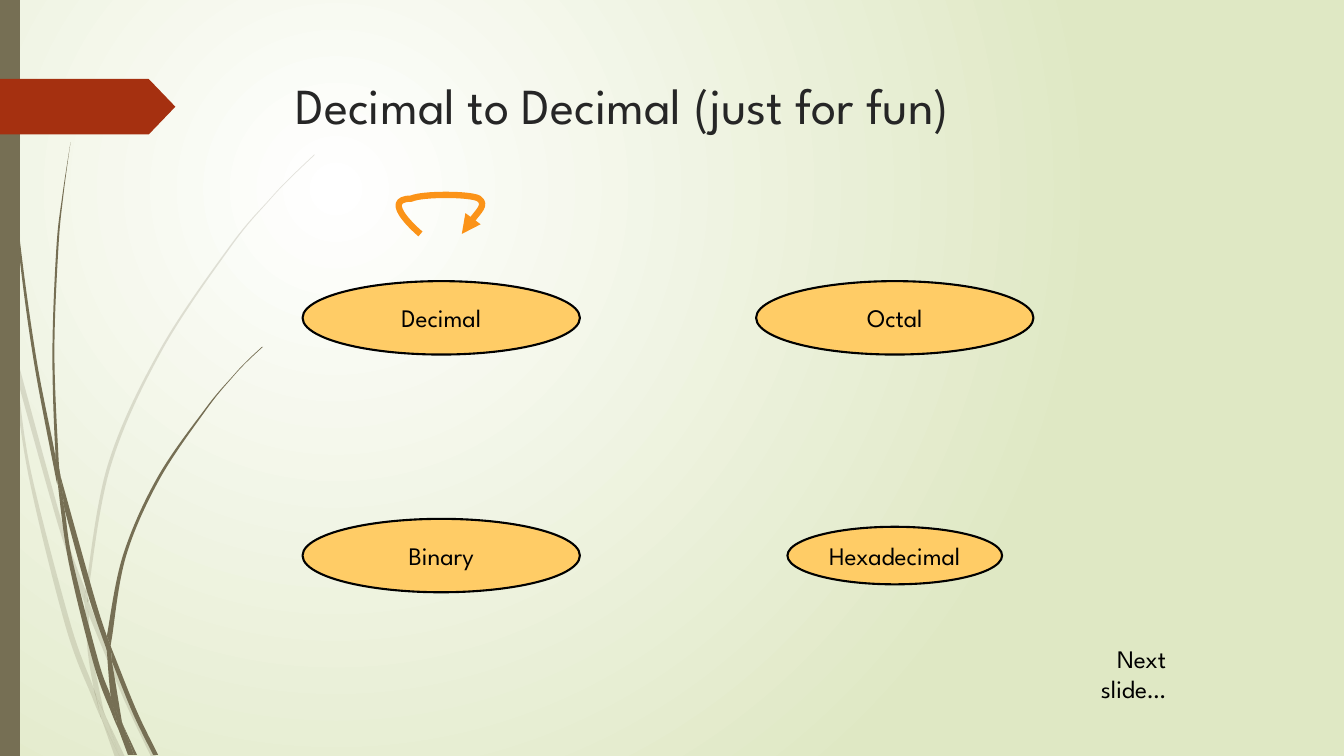
from lxml.etree import SubElement
from pptx import Presentation
from pptx.dml.color import RGBColor as RGB
from pptx.enum.shapes import MSO_SHAPE as SHAPE
from pptx.enum.text import MSO_ANCHOR as ANCHOR, PP_ALIGN as ALIGN
from pptx.oxml.ns import qn
from pptx.util import Cm, Pt

FONT = "League Spartan"
UNIT = 2.54
COLORS = {
    "glow": "FFFFFF", "meadow": "DFE8C4", "grass": "766F54", "tag": "A53010",
    "title": "262626", "text": "000000", "oval": "FFCC66", "loop": "FB9318",
}
PALE_BLADES = [
    ([(0, 2.82), (0.09, 3.22), (0.11, 3.5)], [(0.1, 3.44), (0, 2.99)]),
    ([(0.14, 3.45), (0.62, 5.2), (0.85, 5.86)],
     [(0.84, 5.99), (0.58, 5.22), (0.17, 3.76)]),
    ([(0.88, 5.96), (0.92, 6.07), (1.27, 6.92), (1.55, 7.51)],
     [(1.5, 7.51), (1.23, 6.94), (0.88, 6.1)]),
    ([(1.05, 7.11), (1.24, 7.51)], [(1.19, 7.51)]),
    ([(0.11, 3.5), (0.17, 3.76), (0.31, 4.69), (0.7, 6.19), (0.93, 6.83), (0.99, 7.07)],
     [(1.01, 7.14), (0.92, 6.93), (0.65, 6.21), (0.28, 4.7), (0.11, 3.5)]),
    ([(0.84, 5.99), (0.87, 6.46), (0.93, 6.83), (0.96, 6.92), (1.05, 7.11)],
     [(1.03, 7.06), (0.91, 6.46), (0.88, 6.1), (0.88, 6.08)]),
    ([(0.88, 5.96), (0.88, 5.84), (1.1, 4.62), (1.6, 3.49), (2.29, 2.45), (2.68, 1.98),
      (2.9, 1.75), (3.12, 1.54)],
     [(3.12, 1.53), (2.89, 1.75), (2.68, 1.97), (2.28, 2.44), (1.58, 3.48), (1.07, 4.61),
      (0.85, 5.84), (0.85, 5.86)]),
    ([(1.01, 7.14), (1.14, 7.51)], [(1.19, 7.51), (1.01, 7.14)]),
    ([(0.88, 6.08), (0.88, 6.1), (0.88, 5.96)], [(0.85, 5.86), (0.84, 5.99)]),
    ([(0.93, 6.83), (0.99, 7.07), (1.01, 7.14), (1.19, 7.51)],
     [(1.19, 7.51), (1.05, 7.11), (0.96, 6.92)]),
]
DARK_BLADES = [
    ([(0.04, 0), (0.05, 0.48), (0.08, 1.09), (0.19, 2.32), (0.36, 3.55), (0.55, 4.53),
      (0.57, 4.81)],
     [(0.56, 4.77), (0.33, 3.55), (0.17, 2.33), (0.07, 1.1), (0.04, 0.48), (0.03, 0)]),
    ([(0.6, 4.72), (0.93, 5.9), (1.06, 6.31)],
     [(1.06, 6.45), (0.88, 5.92), (0.64, 5.05)]),
    ([(1.1, 6.41), (1.13, 6.49), (1.36, 7.06), (1.57, 7.49)],
     [(1.52, 7.49), (1.32, 7.08), (1.11, 6.56)]),
    ([(0.57, 4.77), (0.64, 5.05), (0.72, 5.56), (0.98, 6.57), (1.1, 6.91), (1.16, 7.17)],
     [(1.17, 7.22), (1.11, 7.08), (0.93, 6.59), (0.68, 5.57), (0.57, 4.77)]),
    ([(0.6, 4.72), (0.58, 4.53), (0.54, 3.49), (0.58, 2.45), (0.63, 1.93), (0.7, 1.41)],
     [(0.7, 1.41), (0.62, 1.93), (0.56, 2.45), (0.52, 3.49), (0.55, 4.49), (0.6, 4.72)]),
    ([(1.22, 7.19), (1.36, 7.49)], [(1.33, 7.49)]),
    ([(0.55, 4.49), (0.6, 4.72), (0.64, 5.05)], [(0.57, 4.77), (0.55, 4.53)]),
    ([(1.1, 6.41), (1.11, 6.33), (1.25, 5.52), (1.58, 4.76), (2.05, 4.06), (2.31, 3.74),
      (2.45, 3.59), (2.61, 3.44)],
     [(2.6, 3.44), (2.45, 3.58), (2.31, 3.73), (2.04, 4.05), (1.56, 4.74), (1.22, 5.51),
      (1.06, 6.31)]),
    ([(1.17, 7.22), (1.27, 7.49)], [(1.31, 7.49), (1.17, 7.22)]),
    ([(1.06, 6.45), (1.1, 6.91), (1.16, 7.06), (1.22, 7.19)],
     [(1.21, 7.16), (1.11, 6.56), (1.09, 6.51)]),
    ([(1.06, 6.31), (1.06, 6.45), (1.11, 6.56)], [(1.1, 6.41)]),
    ([(1.1, 6.91), (1.16, 7.17), (1.17, 7.22), (1.3, 7.49)],
     [(1.33, 7.49), (1.22, 7.19), (1.16, 7.06)]),
]
LOOP = [(0.42, 0.4), (0.42, 0.4), (0, 0.05), (0.33, 0.05), (0.43, 0), (0.92, 0),
        (1, 0.05), (1.08, 0.11), (0.87, 0.33), (0.83, 0.4)]


def color(name):
    """Return the named colour."""
    return RGB.from_string(COLORS[name])


def smooth(knots):
    """Return the Bezier points of a smooth curve through the knots."""
    ends = [knots[0], *knots, knots[-1]]
    points = [knots[0]]
    for a, b, c, d in zip(ends, ends[1:], ends[2:], ends[3:]):
        points.append(tuple(q + (r - p) / 6 for p, q, r in zip(a, b, c)))
        points.append(tuple(r - (n - q) / 6 for q, r, n in zip(b, c, d)))
        points.append(c)
    return points


def curve(s, x, y, points, close):
    """Draw a freeform of Bezier curves placed from x, y."""
    pts = [(Cm(x + px * UNIT), Cm(y + py * UNIT)) for px, py in points]
    fb = s.shapes.build_freeform(*pts[0])
    fb.add_line_segments(pts[1:], close=close)
    sp = fb.convert_to_shape()
    sp.shadow.inherit = False
    outline = sp._element.find(".//" + qn("a:path"))
    legs = outline.findall(qn("a:lnTo"))
    for first, second, third in zip(legs[::3], legs[1::3], legs[2::3]):
        first.tag = qn("a:cubicBezTo")
        for leg in (second, third):
            first.append(leg[0])
            outline.remove(leg)
    return sp


def paint(sp, fill):
    """Give a shape a plain fill and no line."""
    sp.shadow.inherit = False
    sp.fill.solid()
    sp.fill.fore_color.rgb = color(fill)
    sp.line.fill.background()


def write(tf, text, size, ink, align):
    """Write one formatted paragraph."""
    tf.text = text
    p = tf.paragraphs[0]
    p.alignment = align
    p.font.size = Pt(size)
    p.font.name = FONT
    p.font.color.rgb = color(ink)


def background(s):
    """Fill the background with a round gradient."""
    fill = s.background.fill
    fill.gradient()
    for stop, name in zip(fill.gradient_stops, ("glow", "meadow")):
        stop.color.rgb = color(name)
    grad = s._element.find(".//" + qn("a:gradFill"))
    grad.remove(grad.find(qn("a:lin")))
    circle = SubElement(grad, qn("a:path"), path="circle")
    SubElement(circle, qn("a:fillToRect"),
               l="50000", t="50000", r="100000", b="100000")


def decoration(s, x, y, h):
    """Draw the grass, the side bar and the tag at the left edge."""
    for blades, alpha in ((PALE_BLADES, 20), (DARK_BLADES, 100)):
        for near, far in blades:
            sp = curve(s, x, y, smooth(near) + [near[-1], far[0]] + smooth(far), True)
            paint(sp, "grass")
            rgb = sp._element.spPr.find(".//" + qn("a:srgbClr"))
            SubElement(rgb, qn("a:alpha"), val=str(alpha * 1000))
    bar = s.shapes.add_shape(SHAPE.RECTANGLE, Cm(x), Cm(y), Cm(0.5), Cm(h))
    paint(bar, "grass")
    tag = s.shapes.add_shape(SHAPE.PENTAGON, Cm(x), Cm(y + 1.99), Cm(4.42), Cm(1.4))
    tag.adjustments[0] = 0.48
    paint(tag, "tag")


def title(s, x, y, w, h):
    """Place the slide title."""
    sp = s.shapes.title
    sp.left, sp.top, sp.width, sp.height = Cm(x), Cm(y), Cm(w), Cm(h)
    tf = sp.text_frame
    tf.vertical_anchor = ANCHOR.TOP
    write(tf, "Decimal to Decimal (just for fun)", 36, "title", ALIGN.LEFT)


def number_systems(s, x, y, dx, dy):
    """Draw the ovals centred on a two by two grid starting at x, y."""
    ovals = [("Decimal", 6.99, 1.85), ("Octal", 6.99, 1.85),
             ("Binary", 6.99, 1.85), ("Hexadecimal", 5.41, 1.45)]
    for i, (name, w, h) in enumerate(ovals):
        row, col = divmod(i, 2)
        sp = s.shapes.add_shape(SHAPE.OVAL, Cm(x + col * dx - w / 2),
                                Cm(y + row * dy - h / 2), Cm(w), Cm(h))
        paint(sp, "oval")
        sp.line.color.rgb = color("text")
        sp.line.width = Pt(1.5)
        tf = sp.text_frame
        tf.word_wrap = False
        tf.vertical_anchor = ANCHOR.MIDDLE
        write(tf, name, 18, "text", ALIGN.CENTER)


def loop_arrow(s, x, y):
    """Draw the arrow that turns back to its own oval."""
    sp = curve(s, x, y, LOOP, False)
    sp.fill.background()
    sp.line.color.rgb = color("loop")
    sp.line.width = Pt(4.5)
    SubElement(sp.line._get_or_add_ln(), qn("a:tailEnd"), type="triangle")


def next_note(s, x, y, w, h):
    """Place the note about the next slide."""
    tf = s.shapes.add_textbox(Cm(x), Cm(y), Cm(w), Cm(h)).text_frame
    tf.word_wrap = True
    write(tf, "Next slide…", 18, "text", ALIGN.RIGHT)


def main():
    """Build and save the slide."""
    prs = Presentation()
    prs.slide_width, prs.slide_height = Cm(33.87), Cm(19.05)
    s = prs.slides.add_slide(prs.slide_layouts[5])
    background(s)
    decoration(s, 0, 0, 19.05)
    title(s, 7.2, 1.73, 24.77, 3.56)
    number_systems(s, 11.12, 8.01, 11.43, 5.99)
    loop_arrow(s, 9.53, 4.88)
    next_note(s, 26.12, 16.08, 3.52, 1.02)
    prs.save("out.pptx")


if __name__ == "__main__":
    main()
